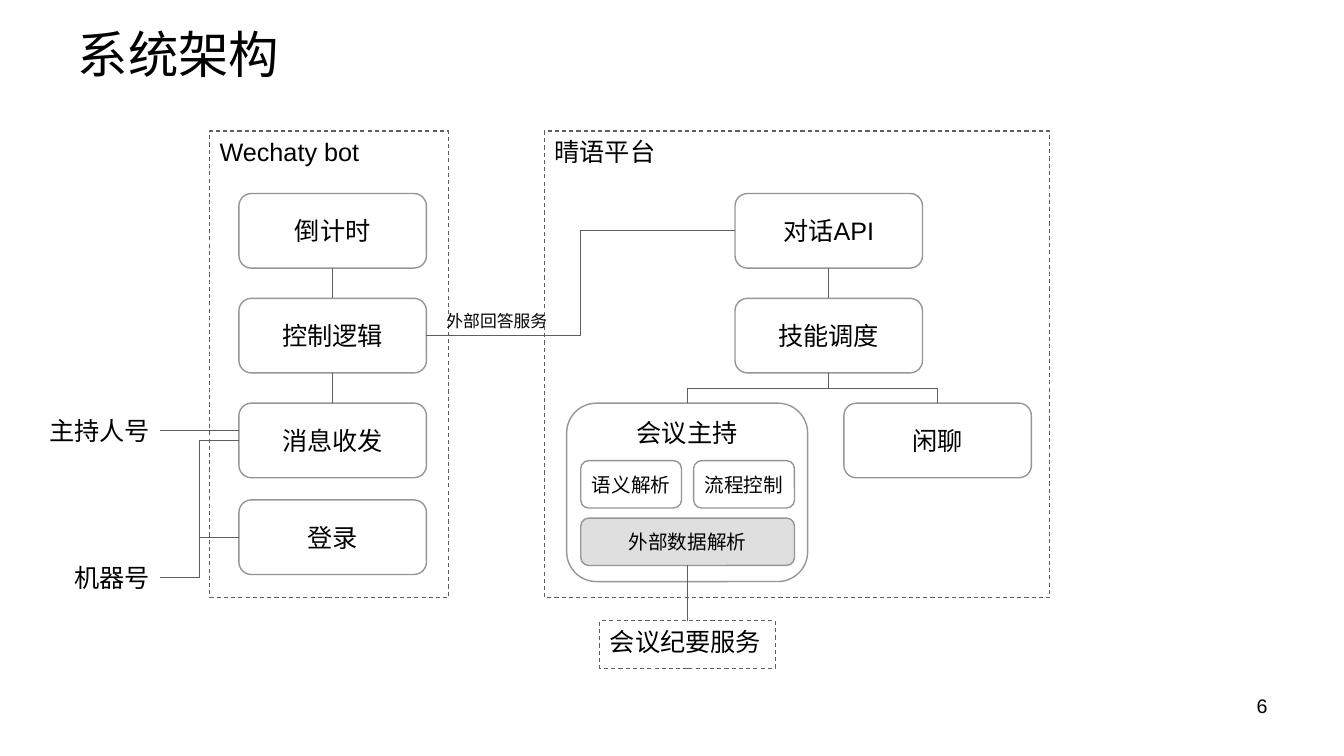
from dataclasses import dataclass

from pptx import Presentation, util as u
from pptx.dml.color import RGBColor
from pptx.enum import dml, shapes, text

BLACK, WHITE, SHADE = "000000", "FFFFFF", "DFDFDF"
BORDER, WIRE = "969696", "5F5F5F"
FONT = "Arial"
CENTER, LEFT, RIGHT = text.PP_ALIGN.CENTER, text.PP_ALIGN.LEFT, text.PP_ALIGN.RIGHT
TOP, MIDDLE = text.MSO_ANCHOR.TOP, text.MSO_ANCHOR.MIDDLE
KINDS = shapes.MSO_CONNECTOR

NODE_W, NODE_H, PART_H = 1.86, 0.74, 0.47
ROWS = (1.92, 2.96, 4.0, 4.96)
BOT_X, PLATFORM_X, CHAT_X, HOST_X = 2.37, 7.29, 8.37, 5.62
BOT_MID, PLATFORM_MID, CHAT_MID = (x + NODE_W / 2 for x in (BOT_X, PLATFORM_X, CHAT_X))
HOST_MID = 6.82
LABEL_END = 1.59


@dataclass
class Node:
    """A rounded box with centred text."""
    words: str
    left: float
    top: float
    width: float = NODE_W
    height: float = NODE_H
    size: int = 18
    fill: str = WHITE
    anchor: text.MSO_ANCHOR = MIDDLE


@dataclass
class Region:
    """A dashed frame with its name at the top left."""
    words: str
    left: float
    top: float
    width: float
    height: float


@dataclass
class Label:
    """Free text."""
    words: str
    left: float
    top: float
    width: float
    height: float = 0.4
    size: int = 18
    align: text.PP_ALIGN = LEFT
    wrap: bool = False


@dataclass
class Wire:
    """A connector; an upright one leaves and arrives vertically."""
    start: tuple[float, float]
    end: tuple[float, float]
    kind: shapes.MSO_CONNECTOR = KINDS.STRAIGHT
    upright: bool = False


def color(value: str) -> RGBColor:
    """Turn a hex string into a colour."""
    return RGBColor.from_string(value)


def place(item) -> list:
    """Give the left, top, width and height of an item as lengths."""
    return [u.Inches(n) for n in (item.left, item.top, item.width, item.height)]


def write(box, words: str, size: int, align=LEFT, anchor=TOP, wrap=False) -> None:
    """Put one formatted paragraph in a shape."""
    frame = box.text_frame
    settings = {"word_wrap": wrap, "vertical_anchor": anchor,
                "auto_size": text.MSO_AUTO_SIZE.NONE}
    for name, value in settings.items():
        setattr(frame, name, value)
    para = frame.paragraphs[0]
    para.alignment = align
    span = para.add_run()
    span.text = words
    for name, value in {"name": FONT, "size": u.Pt(size)}.items():
        setattr(span.font, name, value)
    span.font.color.rgb = color(BLACK)


def outline(item, tint: str, width: float) -> None:
    """Set the line colour and width of a shape or connector."""
    item.line.color.rgb = color(tint)
    item.line.width = u.Pt(width)


def draw_node(page, node: Node) -> None:
    """Draw a rounded box."""
    box = page.shapes.add_shape(shapes.MSO_SHAPE.ROUNDED_RECTANGLE, *place(node))
    box.shadow.inherit = False
    box.fill.solid()
    box.fill.fore_color.rgb = color(node.fill)
    outline(box, BORDER, 1)
    write(box, node.words, node.size, CENTER, node.anchor)


def draw_region(page, region: Region) -> None:
    """Draw a dashed frame."""
    box = page.shapes.add_shape(shapes.MSO_SHAPE.RECTANGLE, *place(region))
    box.shadow.inherit = False
    box.fill.background()
    outline(box, WIRE, 0.75)
    box.line.dash_style = dml.MSO_LINE.DASH
    write(box, region.words, 18)


def draw_label(page, label: Label) -> None:
    """Draw free text."""
    box = page.shapes.add_textbox(*place(label))
    write(box, label.words, label.size, label.align, wrap=label.wrap)


def draw_wire(page, wire: Wire) -> None:
    """Draw a connector, turned a quarter when it is upright."""
    (x1, y1), (x2, y2) = wire.start, wire.end
    if wire.upright:
        mid_x, mid_y = (x1 + x2) / 2, (y1 + y2) / 2
        half_x, half_y = (x2 - x1) / 2, (y1 - y2) / 2
        x1, x2 = mid_x - half_y, mid_x + half_y
        y1, y2 = mid_y - half_x, mid_y + half_x
    line = page.shapes.add_connector(wire.kind, *(u.Inches(n) for n in (x1, y1, x2, y2)))
    outline(line, WIRE, 0.75)
    properties = line._element.spPr
    properties.append(properties.makeelement(
        "{http://schemas.openxmlformats.org/drawingml/2006/main}effectLst", {}))
    if wire.upright:
        properties.xfrm.set("rot", str(270 * 60000))


REGIONS = [
    Region("Wechaty bot", 2.08, 1.3, 2.37, 4.63),
    Region("晴语平台", 5.4, 1.3, 5.01, 4.63),
    Region("会议纪要服务", 5.95, 6.16, 1.74, PART_H),
]
NODES = [
    *(Node(words, BOT_X, top) for words, top in zip(("倒计时", "控制逻辑", "消息收发", "登录"), ROWS)),
    *(Node(words, PLATFORM_X, top) for words, top in zip(("对话API", "技能调度"), ROWS)),
    Node("会议主持", HOST_X, ROWS[2], 2.39, 1.77, anchor=TOP),
    Node("闲聊", CHAT_X, ROWS[2]),
    Node("语义解析", 5.76, 4.57, 1, PART_H, 14),
    Node("流程控制", 6.88, 4.57, 1, PART_H, 14),
    Node("外部数据解析", 5.76, 5.14, 2.12, PART_H, 14, SHADE),
]
LABELS = [
    Label("主持人号", 0.39, 4.07, 1.2),
    Label("机器号", 0.64, 5.53, 0.95),
    Label("外部回答服务", 4.33, 3.03, 1.2, 0.3, 12),
    Label("6", 9.56, 6.83, 3.11, 0.52, 14, RIGHT, True),
]
FORK = (PLATFORM_MID, ROWS[1] + NODE_H)
WIRES = [
    *(Wire((mid, ROWS[row] + NODE_H), (mid, ROWS[row + 1]))
      for mid, row in ((BOT_MID, 0), (BOT_MID, 1), (PLATFORM_MID, 0))),
    *(Wire((mid, ROWS[2]), FORK, KINDS.ELBOW, True) for mid in (HOST_MID, CHAT_MID)),
    *(Wire((LABEL_END, 5.73), (BOT_X, y), KINDS.ELBOW) for y in (5.33, 4.37)),
    Wire((LABEL_END, 4.27), (BOT_X, 4.27)),
    Wire((BOT_X + NODE_W, 3.33), (PLATFORM_X, 2.29), KINDS.ELBOW),
    Wire((HOST_MID, 5.61), (HOST_MID, 6.16)),
]

deck = Presentation()
deck.slide_width, deck.slide_height = u.Inches(13.33), u.Inches(7.5)
page = deck.slides.add_slide(deck.slide_layouts[5])
title = page.shapes.title
bounds = place(Label("", 0.67, 0.21, 12, 0.64))
for side, length in zip(("left", "top", "width", "height"), bounds):
    setattr(title, side, length)
write(title, "系统架构", 36, anchor=MIDDLE, wrap=True)

for draw, items in ((draw_region, REGIONS), (draw_node, NODES),
                    (draw_label, LABELS), (draw_wire, WIRES)):
    for item in items:
        draw(page, item)

deck.save("out.pptx")
